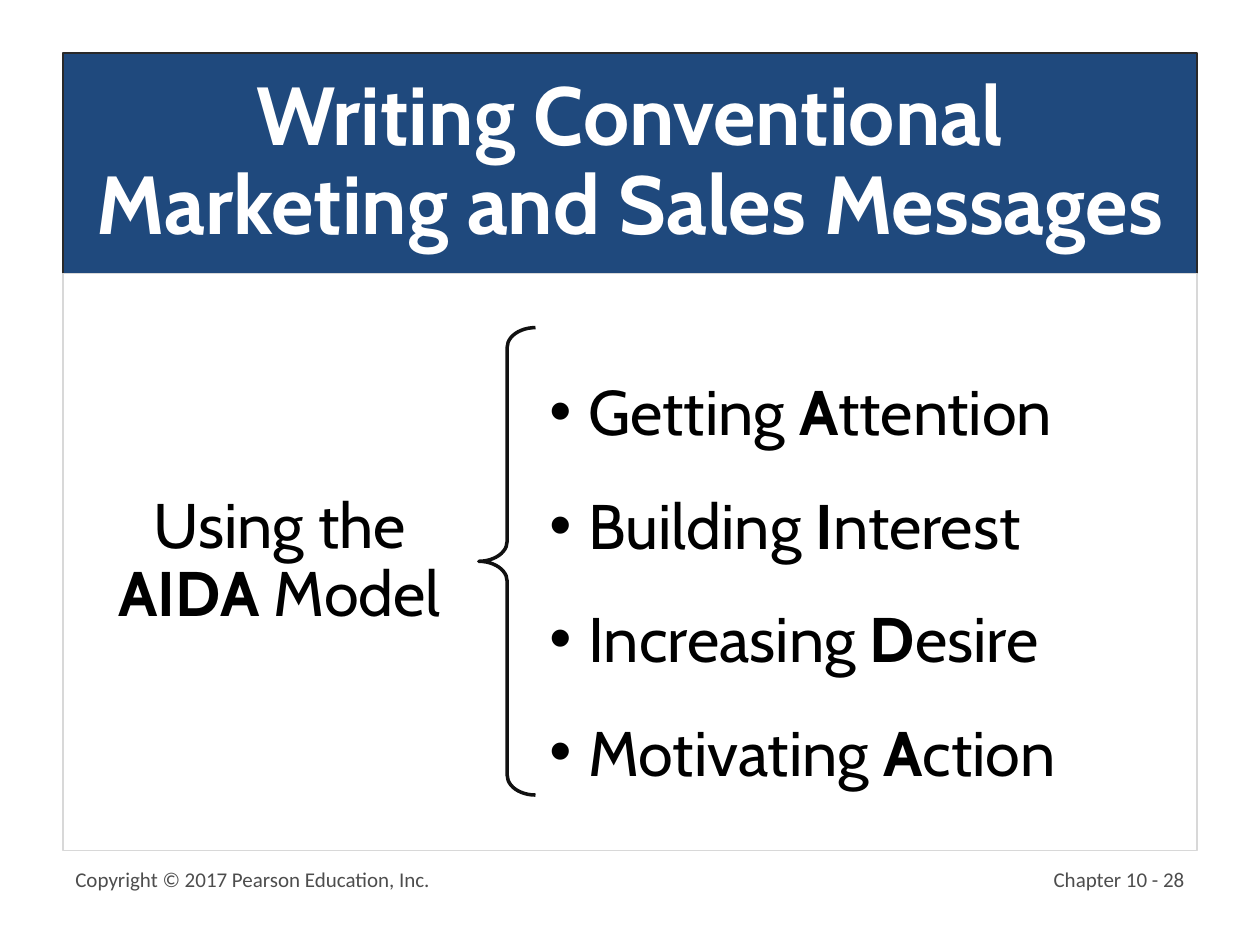
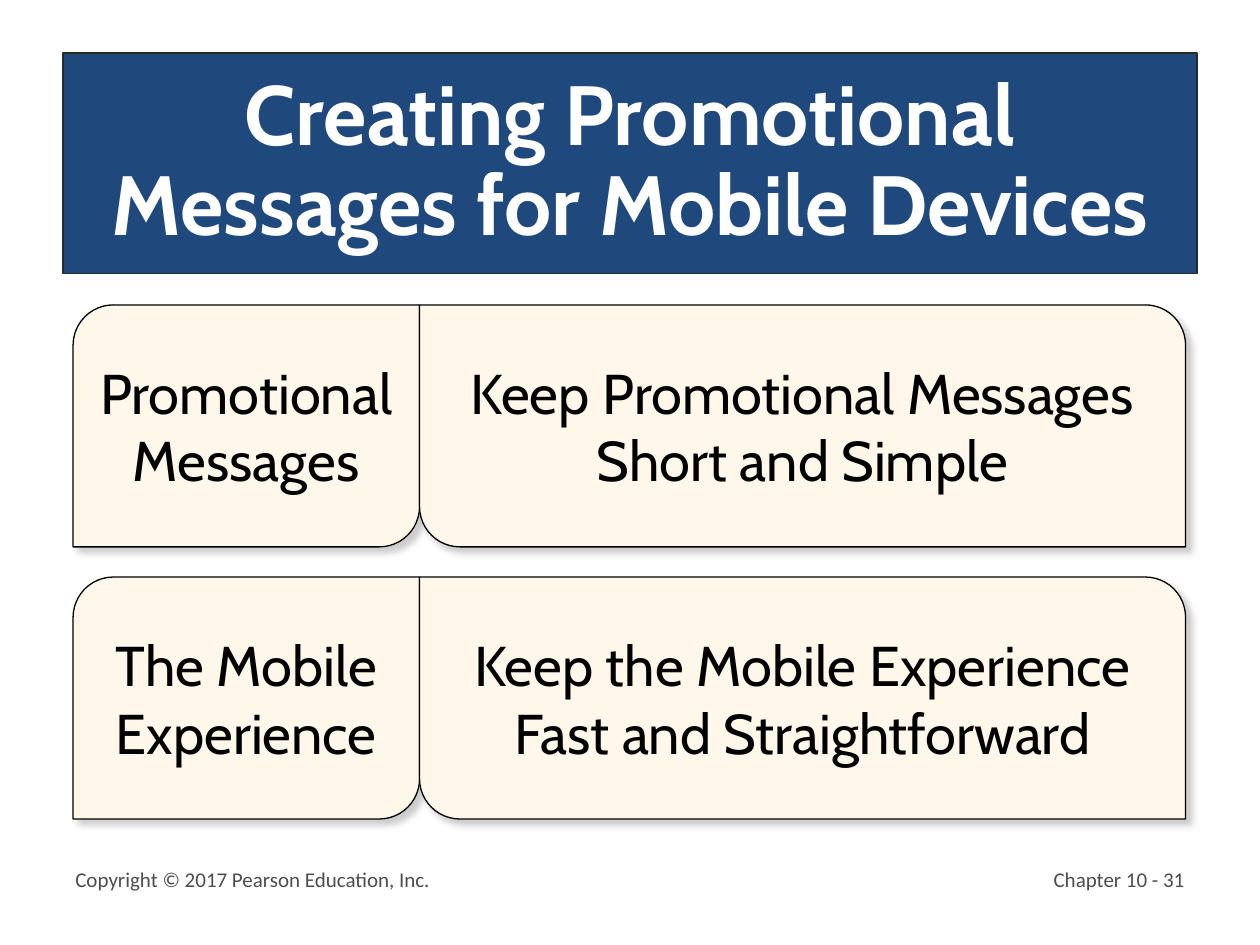
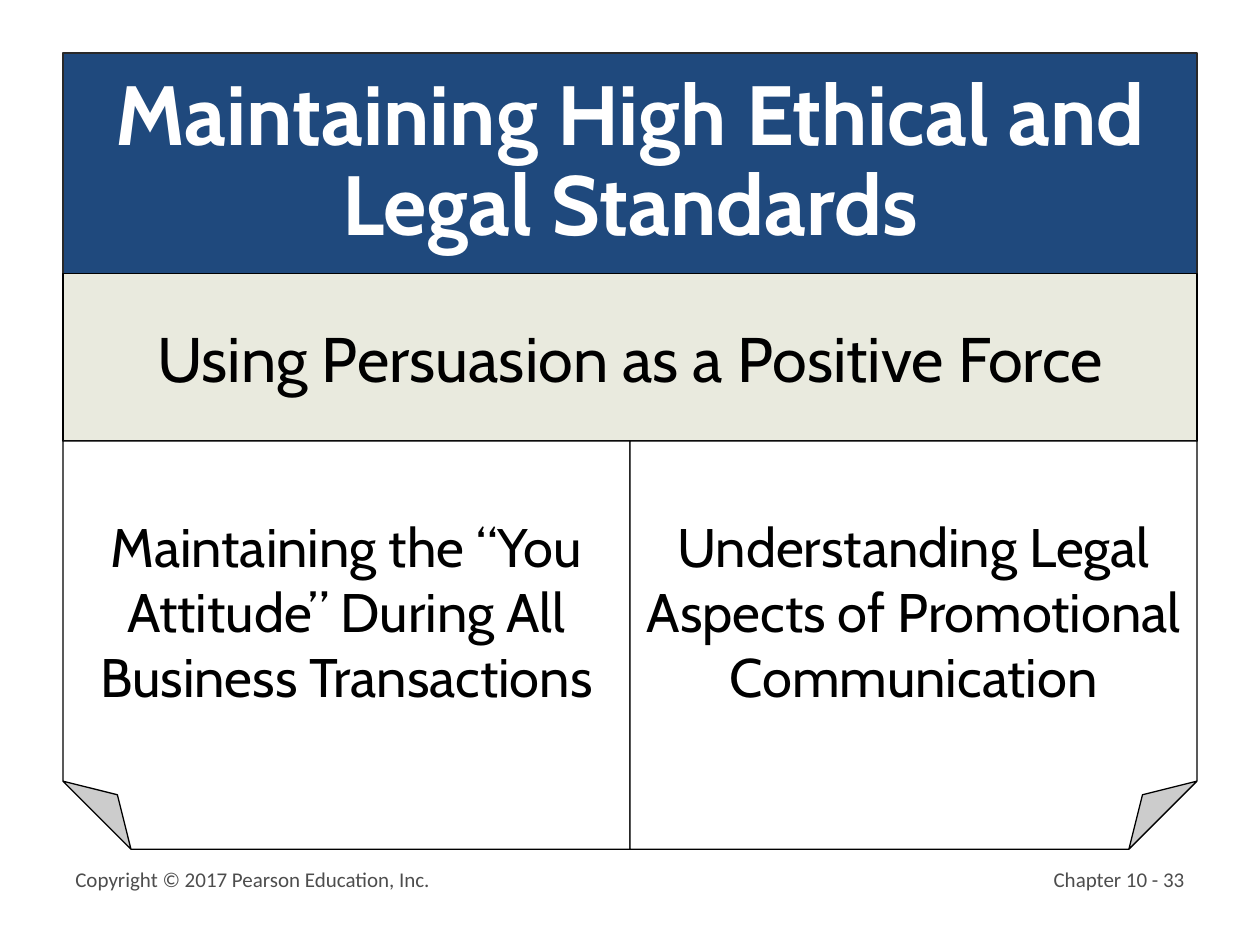
from lxml import etree
from pptx import Presentation
from pptx.dml.color import RGBColor
from pptx.enum.shapes import MSO_SHAPE as Shape
from pptx.enum.text import MSO_ANCHOR as Anchor, PP_ALIGN as Align
from pptx.oxml import parse_xml
from pptx.oxml.ns import nsdecls, qn
from pptx.util import Inches, Pt

COLORS = {
    "navy": "1F497D", "title_line": "292929", "white": "FFFFFF",
    "black": "000000", "footer": "4D4D4D", "panel_line": "D8D8D8",
    "brace": "111111", "cream": "FFF7E9", "sage": "E9EADE",
}
HEADING_FONT, FOOTER_FONT = "Cabin", "Calibri"
LEFT, WIDTH = 0.5, 9
TITLE_TOP, TITLE_HEIGHT = 0.42, 1.75
BODY_TOP = TITLE_TOP + TITLE_HEIGHT


def add_box(page, kind, place, fill=None, line=None, line_width=0.75):
    """Add a preset shape, or a text box when kind is None."""
    lengths = [Inches(length) for length in place]
    if kind is None:
        return page.shapes.add_textbox(*lengths)
    box = page.shapes.add_shape(kind, *lengths)
    box.shadow.inherit = False
    if fill:
        box.fill.solid()
        box.fill.fore_color.rgb = RGBColor.from_string(COLORS[fill])
    else:
        box.fill.background()
    if line:
        box.line.color.rgb = RGBColor.from_string(COLORS[line])
        box.line.width = Pt(line_width)
    else:
        box.line.fill.background()
    return box


def write(box, lines, size, color="black", font=HEADING_FONT, align=Align.CENTER,
          anchor=Anchor.MIDDLE, spacing=None, bold=None, bullets=False,
          margins=(0.1, 0.05)):
    """Fill a box with paragraphs; text between asterisks is bold."""
    frame = box.text_frame
    frame.word_wrap = True
    frame.vertical_anchor = anchor
    frame.margin_left = frame.margin_right = Inches(margins[0])
    frame.margin_top = frame.margin_bottom = Inches(margins[1])
    for number, line in enumerate(lines):
        para = frame.paragraphs[0] if number == 0 else frame.add_paragraph()
        para.alignment = align
        if spacing:
            para.line_spacing = spacing
        if bullets:
            para.level = 1
            props = para._p.get_or_add_pPr()
            props.set("marL", str(Inches(0.31)))
            props.set("indent", str(-Inches(0.31)))
            bullet_color = etree.SubElement(props, qn("a:buClr"))
            etree.SubElement(bullet_color, qn("a:srgbClr"), val=COLORS["black"])
            etree.SubElement(props, qn("a:buFont"), typeface="Arial")
            etree.SubElement(props, qn("a:buChar"), char="•")
        para.font.name = font
        para.font.size = Pt(size)
        para.font.bold = bold
        para.font.color.rgb = RGBColor.from_string(COLORS[color])
        for index, words in enumerate(line.split("*")):
            span = para.add_run()
            span.text = words
            if index % 2:
                span.font.bold = True


deck = Presentation()
deck.slide_width, deck.slide_height = Inches(10), Inches(7.5)

# Title band and footer of every slide
titles = [
    ("Writing Conventional Marketing and Sales Messages", 47, 28),
    ("Creating Promotional Messages for Mobile Devices", 48, 31),
    ("Maintaining High Ethical and Legal Standards", 48, 33),
]
pages = []
for title, title_size, number in titles:
    page = deck.slides.add_slide(deck.slide_layouts[6])
    pages.append(page)
    band = add_box(page, Shape.RECTANGLE, (LEFT, TITLE_TOP, WIDTH, TITLE_HEIGHT),
                   "navy", "title_line")
    write(band, [title], title_size, "white", spacing=0.9, bold=True)
    footers = [
        ("Copyright © 2017 Pearson Education, Inc.", LEFT, 6.17, Align.LEFT),
        (f"Chapter 10 - {number}", 7.42, 2.08, Align.RIGHT),
    ]
    for words, left, width, align in footers:
        footer = add_box(page, None, (left, 6.83, width, 0.5))
        write(footer, [words], 12, "footer", FOOTER_FONT, align, Anchor.TOP)
aida_page, mobile_page, ethics_page = pages

# AIDA model: panel, label, brace and steps
add_box(aida_page, Shape.RECTANGLE, (LEFT, BODY_TOP, WIDTH, 4.58),
        line="panel_line", line_width=1)
label = add_box(aida_page, None, (LEFT, 3.75, 3.44, 1.42))
write(label, ["Using the *AIDA* Model"], 36, spacing=0.9, margins=(0.25, 0.09))
brace = add_box(aida_page, Shape.LEFT_BRACE, (3.8, 2.6, 0.45, 3.71),
                line="brace", line_width=2)
brace.adjustments[0] = 0.35
brace.adjustments[1] = 0.5
steps = add_box(aida_page, Shape.RECTANGLE, (4.21, 2.75, 5.12, 3.42), "white")
write(steps, ["Getting *A*ttention", "Building *I*nterest",
              "Increasing *D*esire", "Motivating *A*ction"],
      36, align=Align.LEFT, spacing=1.5, bullets=True, margins=(0.15, 0.15))

# Mobile messages: rows of paired cards, lowest row at the back
card_rows = [
    (4.58, "The Mobile Experience",
     "Keep the Mobile Experience Fast and Straightforward"),
    (2.42, "Promotional Messages", "Keep Promotional Messages Short and Simple"),
]
for top, topic, advice in card_rows:
    for words, left, width, flipped in [(topic, 0.58, 2.75, False),
                                        (advice, 3.33, 6.08, True)]:
        card = add_box(mobile_page, Shape.ROUND_2_DIAG_RECTANGLE,
                       (left, top, width, 1.92), "cream", "black")
        props = card._element.spPr
        if flipped:
            props.find(qn("a:xfrm")).set("flipH", "1")
        props.find(qn("a:effectLst")).append(parse_xml(
            f'<a:outerShdw {nsdecls("a")} blurRad="{Pt(4)}" dist="{Pt(4)}" '
            f'dir="2700000" algn="tl" rotWithShape="0">'
            f'<a:srgbClr val="{COLORS["black"]}"><a:alpha val="20000"/></a:srgbClr>'
            f'</a:outerShdw>'))
        write(card, [words], 32)

# Ethical standards: heading strip above two sheets with folded corners
strip = add_box(ethics_page, Shape.RECTANGLE, (LEFT, BODY_TOP, WIDTH, 1.33),
                "sage", "black")
write(strip, ["Using Persuasion as a Positive Force"], 36)
sheets = [
    ("Maintaining the “You Attitude” During All Business Transactions", True),
    ("Understanding Legal Aspects of Promotional Communication", False),
]
for column, (words, flipped) in enumerate(sheets):
    sheet = add_box(ethics_page, Shape.FOLDED_CORNER,
                    (LEFT + column * WIDTH / 2, 3.5, WIDTH / 2, 3.24),
                    "white", "black")
    if flipped:
        sheet._element.spPr.find(qn("a:xfrm")).set("flipH", "1")
    write(sheet, [words], 31)

deck.save("out.pptx")
